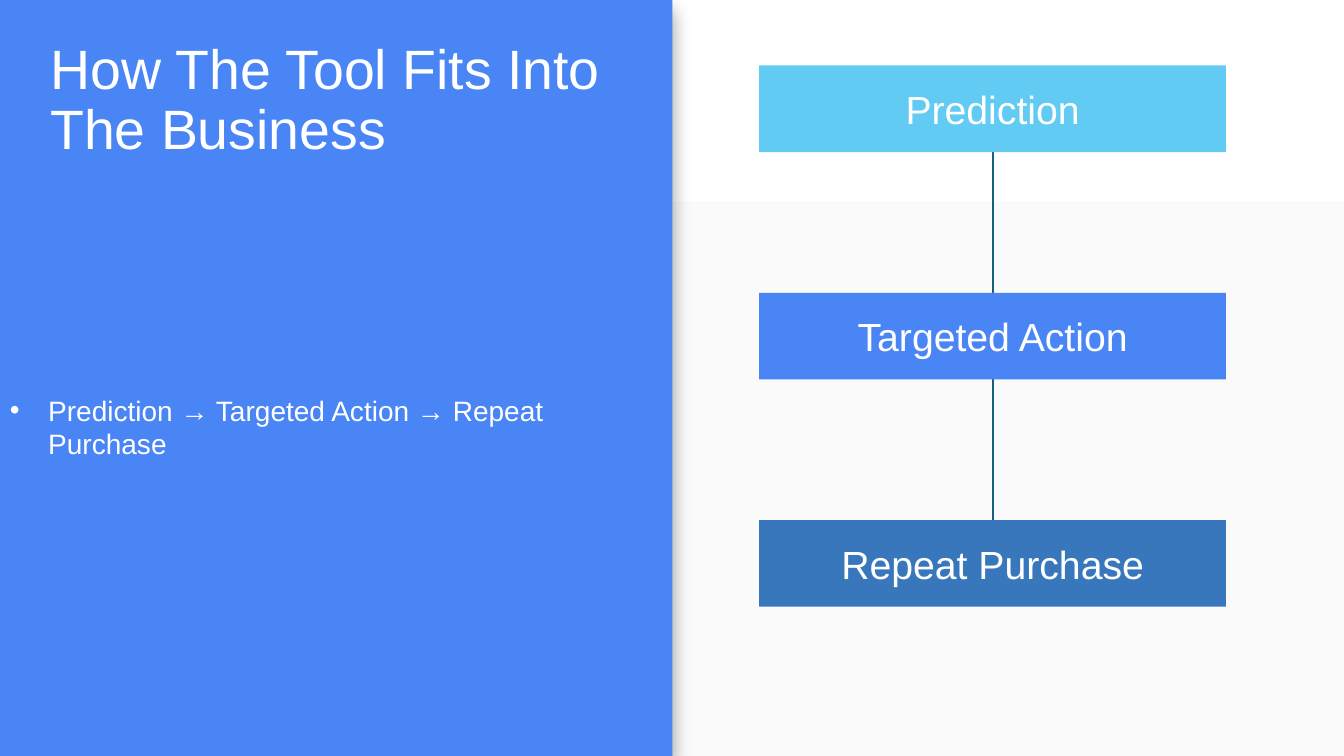
from dataclasses import dataclass

from lxml import etree
from pptx import Presentation
from pptx.dml.color import RGBColor
from pptx.enum.shapes import MSO_CONNECTOR, MSO_SHAPE
from pptx.enum.text import MSO_ANCHOR, PP_ALIGN
from pptx.oxml import parse_xml
from pptx.oxml.ns import nsdecls, qn
from pptx.shapes.autoshape import Shape
from pptx.slide import Slide
from pptx.text.text import _Paragraph as Paragraph
from pptx.util import Inches, Pt

RECT = MSO_SHAPE.RECTANGLE
STRAIGHT = MSO_CONNECTOR.STRAIGHT
MIDDLE = MSO_ANCHOR.MIDDLE
TOP = MSO_ANCHOR.TOP
CENTER = PP_ALIGN.CENTER
LEFT = PP_ALIGN.LEFT

WHITE = RGBColor(0xFF, 0xFF, 0xFF)
PALE = RGBColor(0xFA, 0xFA, 0xFA)
BLUE = RGBColor(0x49, 0x85, 0xF5)
SKY = RGBColor(0x61, 0xCB, 0xF4)
STEEL = RGBColor(0x39, 0x77, 0xBD)
TEAL = RGBColor(0x15, 0x60, 0x82)

WIDTH, HEIGHT = 13.33, 7.5
HALF = 6.67
STEP_X, STEP_W, STEP_H = 7.53, 4.63, 0.86
FIRST_Y, LAST_Y = 0.65, 5.16


@dataclass
class Step:
    label: str
    fill: RGBColor


STEPS = [
    Step("Prediction", SKY),
    Step("Targeted Action", BLUE),
    Step("Repeat Purchase", STEEL),
]


def add_rect(slide: Slide, x: float, y: float, w: float, h: float,
             fill: RGBColor) -> Shape:
    rect = slide.shapes.add_shape(RECT, Inches(x), Inches(y), Inches(w), Inches(h))
    rect.shadow.inherit = False
    rect.fill.solid()
    rect.fill.fore_color.rgb = fill
    rect.line.fill.background()
    return rect


def add_box(slide: Slide, x: float, y: float, w: float, h: float) -> Shape:
    return slide.shapes.add_textbox(Inches(x), Inches(y), Inches(w), Inches(h))


def set_text(shape: Shape, text: str, size: float, align: PP_ALIGN = LEFT,
             anchor: MSO_ANCHOR = MIDDLE, bullet: bool = False) -> Paragraph:
    frame = shape.text_frame
    frame.word_wrap = True
    frame.vertical_anchor = anchor
    par = frame.paragraphs[0]
    par.text = text
    par.alignment = align
    if bullet:
        add_bullet(par)
    par.font.name = "Arial"
    par.font.size = Pt(size)
    par.font.color.rgb = WHITE
    return par


def add_bullet(par: Paragraph) -> None:
    props = par._p.get_or_add_pPr()
    indent = Inches(0.38)
    props.set("marL", str(indent))
    props.set("indent", str(-indent))
    etree.SubElement(props, qn("a:buFont"), typeface="Arial")
    etree.SubElement(props, qn("a:buChar"), char="•")


def add_shadow(shape: Shape) -> None:
    props = shape._element.spPr
    props.remove(props.find(qn("a:effectLst")))
    props.append(parse_xml(
        f'<a:effectLst {nsdecls("a")}>'
        f'<a:outerShdw blurRad="{Pt(13)}" dist="{Pt(8)}" dir="5400000" '
        'algn="t" rotWithShape="0"><a:srgbClr val="000000">'
        '<a:alpha val="40000"/></a:srgbClr></a:outerShdw></a:effectLst>'))


def add_flow(slide: Slide) -> None:
    mid = Inches(STEP_X + STEP_W / 2)
    link = slide.shapes.add_connector(
        STRAIGHT, mid, Inches(FIRST_Y + STEP_H), mid, Inches(LAST_Y))
    link.line.color.rgb = TEAL
    link.line.width = Pt(1.5)
    etree.SubElement(link._element.spPr, qn("a:effectLst"))
    pitch = (LAST_Y - FIRST_Y) / (len(STEPS) - 1)
    for i, step in enumerate(STEPS):
        rect = add_rect(slide, STEP_X, FIRST_Y + i * pitch, STEP_W, STEP_H, step.fill)
        set_text(rect, step.label, 28, CENTER)


def main() -> None:
    deck = Presentation()
    deck.slide_width, deck.slide_height = Inches(WIDTH), Inches(HEIGHT)
    slide = deck.slides.add_slide(deck.slide_layouts[6])

    add_rect(slide, 0, 2, WIDTH, HEIGHT - 2, PALE)
    add_shadow(add_rect(slide, 0, 0, HALF, HEIGHT, BLUE))

    title = add_box(slide, 0.4, 0.51, HALF - 0.4, 0.99)
    par = set_text(title, "How The Tool Fits Into The Business", 39.6)
    par.line_spacing = 0.9

    chain = add_box(slide, 0, 3.85, HALF, 0.8)
    set_text(chain, "Prediction → Targeted Action → Repeat Purchase", 20,
             anchor=TOP, bullet=True)

    add_flow(slide)
    deck.save("out.pptx")


if __name__ == "__main__":
    main()
